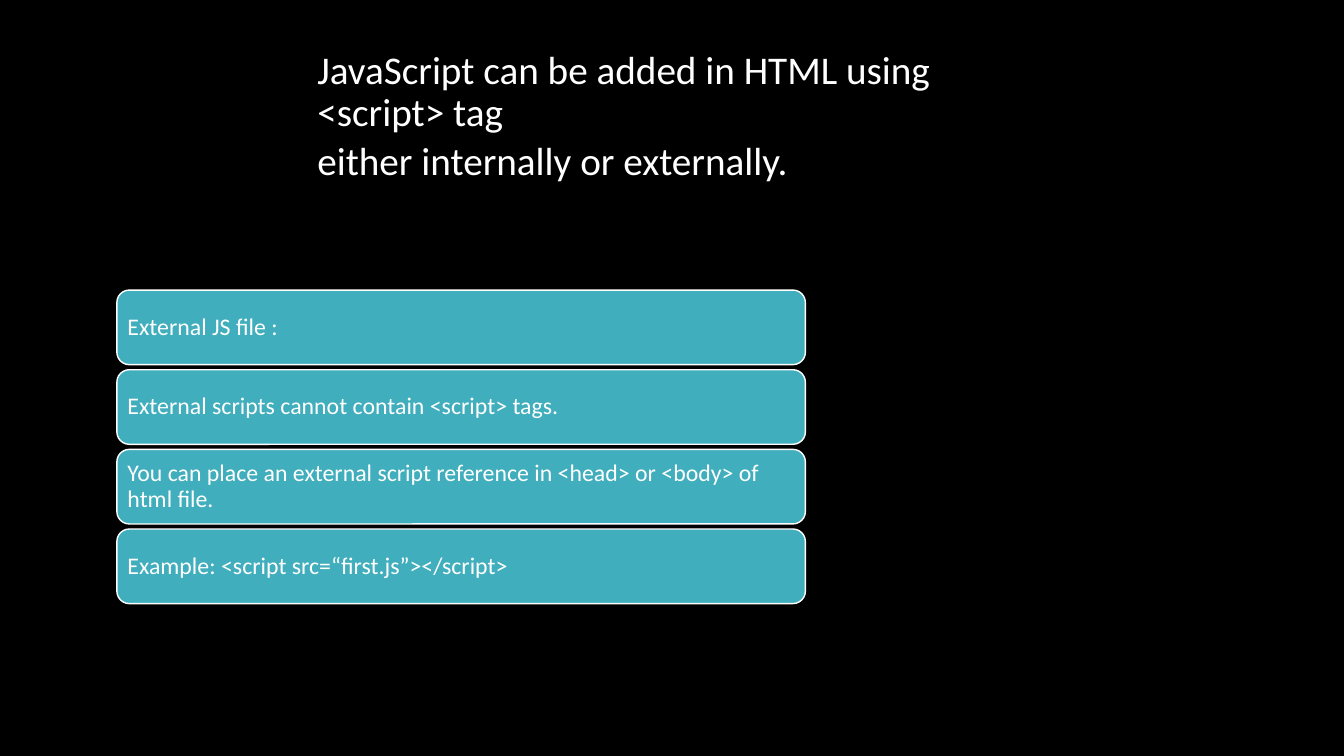
from pptx import Presentation
from pptx.dml.color import RGBColor
from pptx.enum.shapes import MSO_SHAPE as Shape
from pptx.enum.text import MSO_ANCHOR as Anchor, PP_ALIGN as Align
from pptx.util import Pt

WHITE, BLACK, TEAL = "FFFFFF", "000000", "41AEBD"
NOTES = [
    "External JS file :",
    "External scripts cannot contain <script> tags.",
    "You can place an external script reference in <head> or <body> of html file.",
    "Example: <script src=“first.js”></script>",
]


def paint(fill, color):
    fill.solid()
    fill.fore_color.rgb = RGBColor.from_string(color)


def write(frame, text, size, after, space):
    frame.word_wrap = True
    para = frame.paragraphs[0]
    para.alignment = Align.LEFT
    para.line_spacing = space
    para.space_after = Pt(after)
    run = para.add_run()
    run.text = text
    run.font.size = Pt(size)
    run.font.name = "Calibri"
    paint(run.font.fill, WHITE)


def add_head(slide, left, top, width, height):
    lead = slide.shapes.add_textbox(Pt(left), Pt(top), Pt(width), Pt(height))
    write(lead.text_frame, "JavaScript can be added in HTML using <script> tag", 28, 6, 0.9)
    rest = slide.shapes.add_textbox(Pt(left), Pt(top + 61.2), Pt(width + 30), Pt(41))
    write(rest.text_frame, "either internally or externally.", 28, 6, 1.0)


def add_list(slide, left, top, width, height, gap=3.6):
    tall = (height - gap * (len(NOTES) - 1)) / len(NOTES)
    for row, note in enumerate(NOTES):
        y = top + row * (tall + gap)
        bar = slide.shapes.add_shape(
            Shape.ROUNDED_RECTANGLE, Pt(left), Pt(y), Pt(width), Pt(tall))
        bar.shadow.inherit = False
        paint(bar.fill, TEAL)
        paint(bar.line.fill, WHITE)
        bar.line.width = Pt(1)
        frame = bar.text_frame
        frame.vertical_anchor = Anchor.MIDDLE
        frame.margin_left = frame.margin_right = Pt(5)
        frame.margin_top = frame.margin_bottom = Pt(2.5)
        write(frame, note, 17, 6, 0.9)


def main():
    deck = Presentation()
    deck.slide_width, deck.slide_height = Pt(960), Pt(540)
    slide = deck.slides.add_slide(deck.slide_layouts[6])
    paint(slide.background.fill, BLACK)
    add_head(slide, 219.6, 32.4, 457.2, 162)
    add_list(slide, 83.5, 207.2, 491.8, 224)
    deck.save("out.pptx")


if __name__ == "__main__":
    main()
